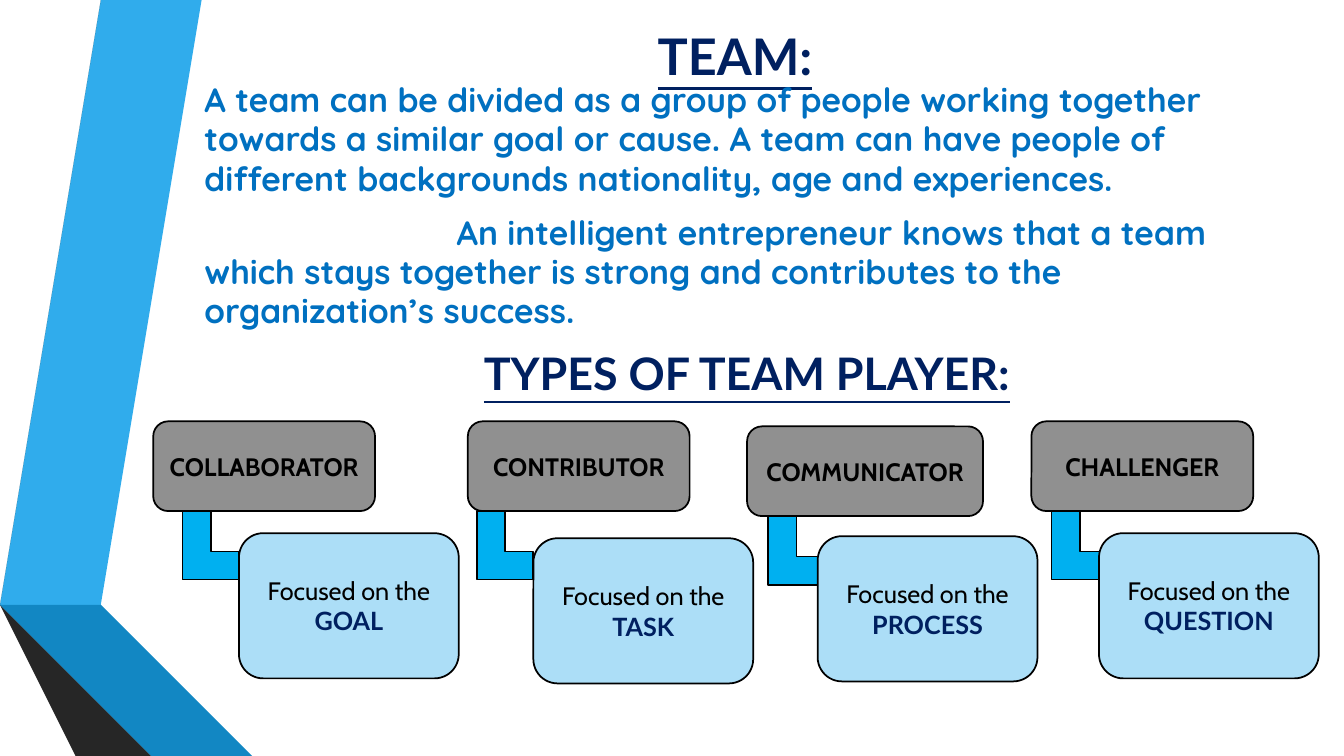
from pptx import Presentation
from pptx.dml.color import RGBColor
from pptx.enum.shapes import MSO_SHAPE
from pptx.enum.text import MSO_ANCHOR, PP_ALIGN
from pptx.util import Inches, Pt

NAVY = RGBColor(0x00, 0x20, 0x60)
BLUE = RGBColor(0x00, 0x70, 0xC0)
SKY = RGBColor(0x00, 0xB0, 0xF0)
PALE = RGBColor(0xAC, 0xDE, 0xF7)
GRAY = RGBColor(0x90, 0x90, 0x90)
BLACK = RGBColor(0, 0, 0)

# Content
TITLE = "TEAM:"
DEFINITION = ("A team can be divided as a group of people working together towards a similar "
              "goal or cause. A team can have people of different backgrounds nationality, "
              "age and experiences.")
STRENGTH = ("An intelligent entrepreneur knows that a team which stays together is strong "
            "and contributes to the organization’s success.")
SUBTITLE = "TYPES OF TEAM PLAYER:"

# Name, focus, label left, label width, elbow left, detail left, label drop, detail drop
PLAYERS = [
    ("COLLABORATOR", "GOAL", 1.52, 2.2, 1.81, 2.37, 0, 0),
    ("CONTRIBUTOR", "TASK", 4.64, 2.2, 4.73, 5.29, 0, 0.05),
    ("COMMUNICATOR", "PROCESS", 7.41, 2.34, 7.62, 8.11, 0.05, 0.03),
    ("CHALLENGER", "QUESTION", 10.23, 2.2, 10.43, 10.9, 0, 0),
]
LABEL_TOP, LABEL_HEIGHT = 4.18, 0.89
ELBOW_WIDTH, ELBOW_HEIGHT = 0.56, 0.68
DETAIL_TOP, DETAIL_WIDTH, DETAIL_HEIGHT = 5.29, 2.18, 1.44

# Ribbon bands down the left edge: colour and corner points
RIBBONS = [
    (RGBColor(0x30, 0xAC, 0xEC), [(0.5, 5.78), (0.77, 5.83), (1.73, 0), (1.45, 0)]),
    (RGBColor(0x59, 0x59, 0x59), [(1.39, 0), (1.11, 0), (0.16, 5.73), (0.44, 5.77)]),
    (RGBColor(0x26, 0x26, 0x26), [(0.16, 5.73), (1.45, 7.5), (1.51, 7.5)]),
    (RGBColor(0x0C, 0x5A, 0x82), [(0.5, 5.79), (2.08, 7.5), (2.14, 7.5)]),
    (RGBColor(0x12, 0x87, 0xC3), [(0.5, 5.78), (2.14, 7.5), (2.83, 7.5), (0.77, 5.83)]),
    (RGBColor(0x40, 0x40, 0x40), [(2.02, 7.5), (0.48, 5.83), (0.44, 5.77), (0.16, 5.73),
                                  (1.51, 7.5)]),
]


def add_text(paragraph, text, *, size, font, color, bold=True, underline=False,
             align=PP_ALIGN.CENTER):
    paragraph.alignment = align
    run = paragraph.add_run()
    run.text = text
    run.font.size = Pt(size)
    run.font.name = font
    run.font.color.rgb = color
    run.font.bold = bold
    run.font.underline = underline


def add_box(slide, kind, left, top, width, height, fill):
    shape = slide.shapes.add_shape(kind, *map(Inches, (left, top, width, height)))
    shape.shadow.inherit = False
    shape.fill.solid()
    shape.fill.fore_color.rgb = fill
    shape.line.color.rgb = BLACK
    shape.line.width = Pt(1.25)
    shape.text_frame.word_wrap = True
    shape.text_frame.vertical_anchor = MSO_ANCHOR.MIDDLE
    return shape


def add_ribbon(slide, color, points):
    builder = slide.shapes.build_freeform(*points[0], scale=Inches(1))
    builder.add_line_segments(points[1:], close=True)
    ribbon = builder.convert_to_shape()
    ribbon.shadow.inherit = False
    ribbon.fill.solid()
    ribbon.fill.fore_color.rgb = color
    ribbon.line.fill.background()


def add_heading(slide):
    title = slide.shapes.title
    title.left, title.top, title.width, title.height = map(Inches, (1.81, 0.23, 10.96, 0.64))
    title.text_frame.vertical_anchor = MSO_ANCHOR.MIDDLE
    add_text(title.text_frame.paragraphs[0], TITLE, size=36, font="Lato", color=NAVY,
             underline=True)


def add_body(slide):
    frame = slide.shapes.add_textbox(*map(Inches, (1.93, 0.76, 10.96, 3.4))).text_frame
    frame.word_wrap = True
    prose = dict(size=24, font="Quicksand", color=BLUE, align=PP_ALIGN.LEFT)
    heading = dict(size=32, font="Lato", color=NAVY, underline=True)
    for index, (text, style) in enumerate([(DEFINITION, prose), (STRENGTH, prose),
                                           (SUBTITLE, heading)]):
        paragraph = frame.add_paragraph() if index else frame.paragraphs[0]
        add_text(paragraph, text, **style)
        paragraph.line_spacing = 0.97
        paragraph.space_before = Pt(0.2 * style["size"] if index else 0)
        paragraph.space_after = Pt(6)
    # First-line indent of the second paragraph
    properties = frame.paragraphs[1]._p.get_or_add_pPr()
    properties.set("marL", "0")
    properties.set("indent", str(Inches(2.5)))


def add_player(slide, name, focus, label_left, label_width, elbow_left, detail_left,
               label_drop, detail_drop):
    label_top = LABEL_TOP + label_drop
    add_box(slide, MSO_SHAPE.CORNER, elbow_left, label_top + LABEL_HEIGHT,
            ELBOW_WIDTH, ELBOW_HEIGHT, SKY)
    label = add_box(slide, MSO_SHAPE.ROUNDED_RECTANGLE, label_left, label_top,
                    label_width, LABEL_HEIGHT, GRAY)
    label.text_frame.margin_left = label.text_frame.margin_right = Inches(0.05)
    add_text(label.text_frame.paragraphs[0], name, size=18, font="Cabin", color=BLACK)
    detail = add_box(slide, MSO_SHAPE.ROUNDED_RECTANGLE, detail_left,
                     DETAIL_TOP + detail_drop, DETAIL_WIDTH, DETAIL_HEIGHT, PALE)
    paragraph = detail.text_frame.paragraphs[0]
    add_text(paragraph, "Focused on the ", size=18, font="Cabin", color=BLACK, bold=False)
    add_text(paragraph, focus, size=18, font="Lato", color=NAVY)


def main():
    presentation = Presentation()
    presentation.slide_width, presentation.slide_height = Inches(13.33), Inches(7.5)
    slide = presentation.slides.add_slide(presentation.slide_layouts[5])
    for color, points in RIBBONS:
        add_ribbon(slide, color, points)
    add_heading(slide)
    add_body(slide)
    for player in PLAYERS:
        add_player(slide, *player)
    presentation.save("out.pptx")


if __name__ == "__main__":
    main()
